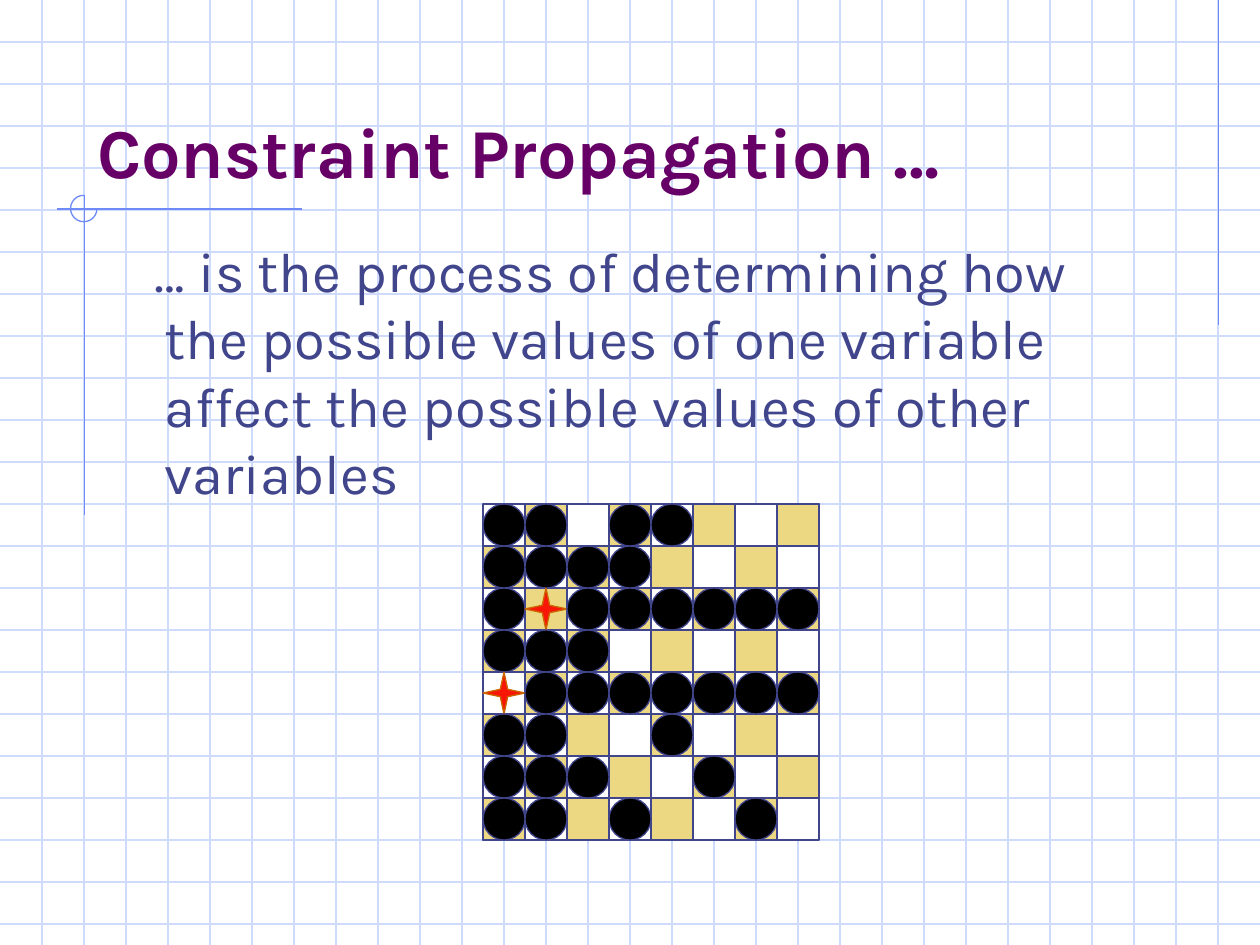
import lxml.etree
import pptx
import pptx.dml.color
import pptx.enum.shapes
import pptx.enum.text
import pptx.oxml.ns
import pptx.util

Inches = pptx.util.Inches
Pt = pptx.util.Pt
RGBColor = pptx.dml.color.RGBColor
KIND = pptx.enum.shapes.MSO_SHAPE

PALE = RGBColor(0xCF, 0xDB, 0xFD)
BLUE = RGBColor(0x6F, 0x89, 0xF7)
NAVY = RGBColor(0x40, 0x45, 0x8C)
PLUM = RGBColor(0x66, 0x00, 0x66)
SAND = RGBColor(0xEC, 0xD8, 0x82)
RED = RGBColor(0xF8, 0x17, 0x06)
RUST = RGBColor(0xCC, 0x66, 0x00)
BLACK = RGBColor(0x00, 0x00, 0x00)
WHITE = RGBColor(0xFF, 0xFF, 0xFF)
FONT = "Karla"
WIDE, HIGH = 10, 7.5


def add_line(group, x1, y1, x2, y2, color):
    line = group.shapes.add_connector(
        pptx.enum.shapes.MSO_CONNECTOR.STRAIGHT,
        Inches(x1), Inches(y1), Inches(x2), Inches(y2))
    line.line.color.rgb = color
    line.line.width = Pt(0.75)
    lxml.etree.SubElement(line.element.spPr, pptx.oxml.ns.qn("a:effectLst"))


def add_form(group, kind, x, y, size, fill, edge):
    form = group.shapes.add_shape(
        kind, Inches(x), Inches(y), Inches(size), Inches(size))
    form.shadow.inherit = False
    if fill is None:
        form.fill.background()
    else:
        form.fill.solid()
        form.fill.fore_color.rgb = fill
    form.line.color.rgb = edge
    form.line.width = Pt(0.75)
    return form


deck = pptx.Presentation()
deck.slide_width = Inches(WIDE)
deck.slide_height = Inches(HIGH)
slide = deck.slides.add_slide(deck.slide_layouts[5])

step = 1 / 3
grid = slide.shapes.add_group_shape()
for num in range(1, 23):
    add_line(grid, 0, num * step, WIDE, num * step, PALE)
for num in range(1, 30):
    add_line(grid, num * step, 0, num * step, HIGH, PALE)
add_line(grid, 9.67, 0, 9.67, 2.58, BLUE)
add_line(grid, 2.4, 1.66, 0.45, 1.66, BLUE)
add_line(grid, 0.67, 1.55, 0.67, 4.09, BLUE)
arc = add_form(grid, KIND.ARC, 0.56, 1.55, 0.21, None, BLUE)
arc.adjustments[0] = 0
arc.adjustments[1] = 162

title = slide.shapes.title
title.left, title.top = Inches(0.67), Inches(0.33)
title.width, title.height = Inches(8.5), Inches(1.25)
slide.shapes.element.append(title.element)
frame = title.text_frame
frame.text = "Constraint Propagation …"
frame.auto_size = pptx.enum.text.MSO_AUTO_SIZE.NONE
frame.vertical_anchor = pptx.enum.text.MSO_ANCHOR.BOTTOM
head = frame.paragraphs[0]
head.alignment = pptx.enum.text.PP_ALIGN.LEFT
head.font.name = FONT
head.font.size = Pt(40)
head.font.bold = True
head.font.color.rgb = PLUM

body = slide.shapes.add_textbox(
    Inches(0.83), Inches(1.83), Inches(8.5), Inches(4.5))
frame = body.text_frame
frame.word_wrap = True
frame.text = ("… is the process of determining how the possible values of "
              "one variable affect the possible values of other variables")
para = frame.paragraphs[0]
props = para._p.get_or_add_pPr()
props.set("marL", str(Inches(0.38)))
props.set("indent", str(Inches(-0.08)))
para.font.name = FONT
para.font.size = Pt(32)
para.font.color.rgb = NAVY

marks = [
    "XX.XX...",
    "XXXX....",
    "X*XXXXXX",
    "XXX.....",
    "*XXXXXXX",
    "XX..X...",
    "XXX..X..",
    "XX.X..X.",
]
left, top = 11.5 * step, 4
board = slide.shapes.add_group_shape()
add_form(board, KIND.RECTANGLE, left, top, 8 * step, WHITE, NAVY)
for row, line in enumerate(marks):
    for col, mark in enumerate(line):
        x, y = left + col * step, top + row * step
        if (row + col) % 2:
            add_form(board, KIND.RECTANGLE, x, y, step, SAND, NAVY)
for row, line in enumerate(marks):
    for col, mark in enumerate(line):
        x, y = left + col * step, top + row * step
        if mark == "X":
            add_form(board, KIND.OVAL, x, y, step, BLACK, NAVY)
        elif mark == "*":
            star = add_form(board, KIND.STAR_4_POINT, x, y, step, RED, RUST)
            star.adjustments[0] = 0.125

deck.save("out.pptx")
